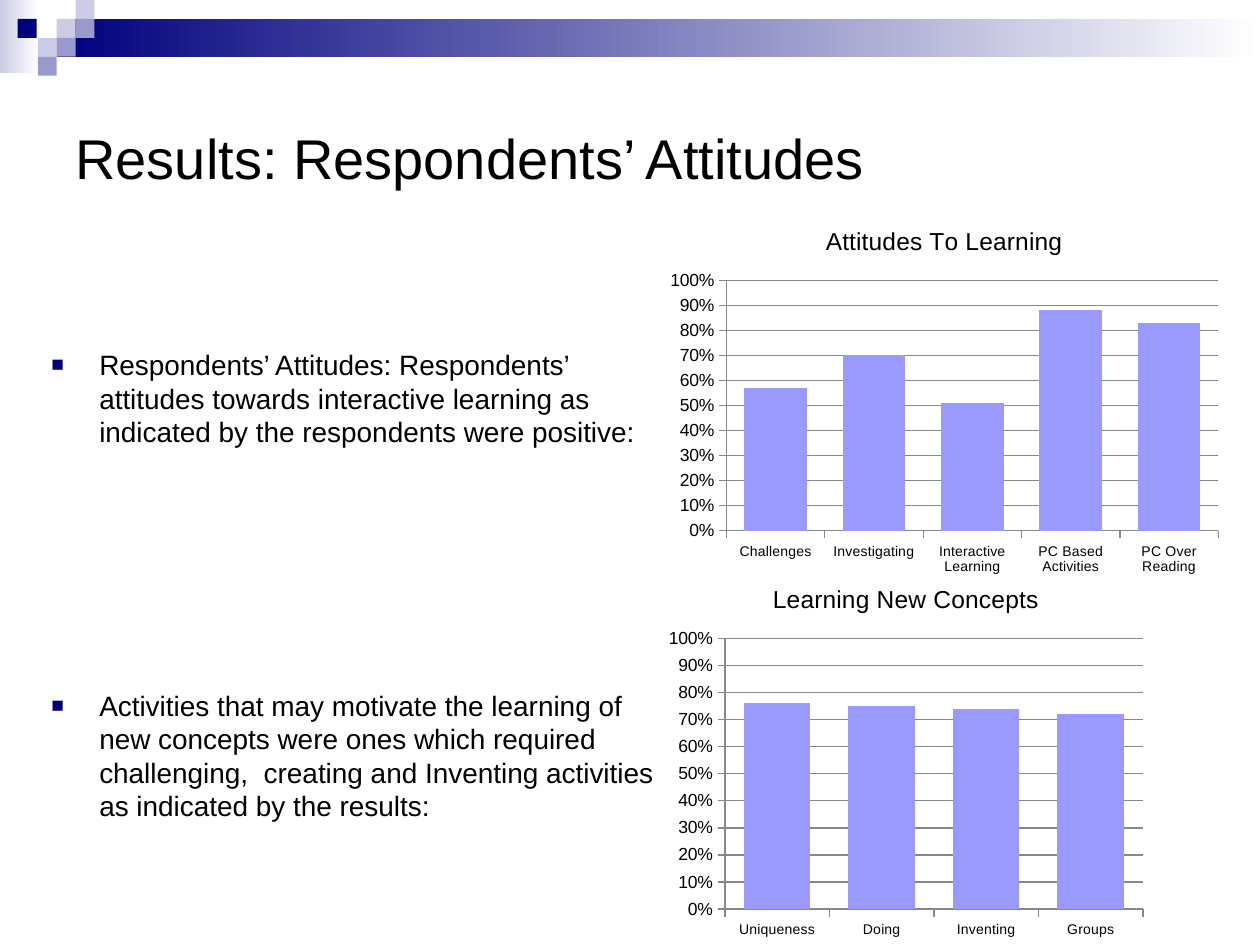
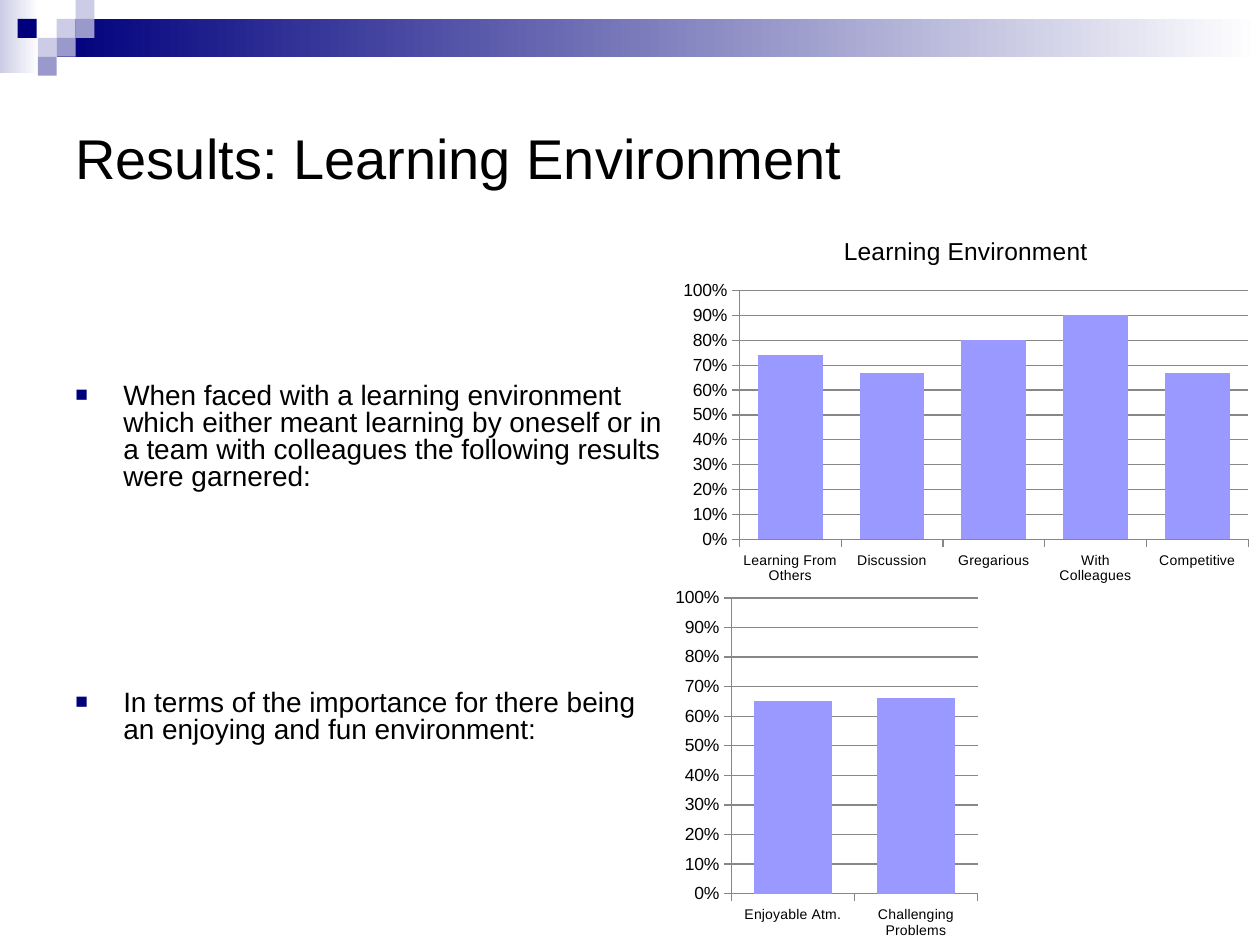
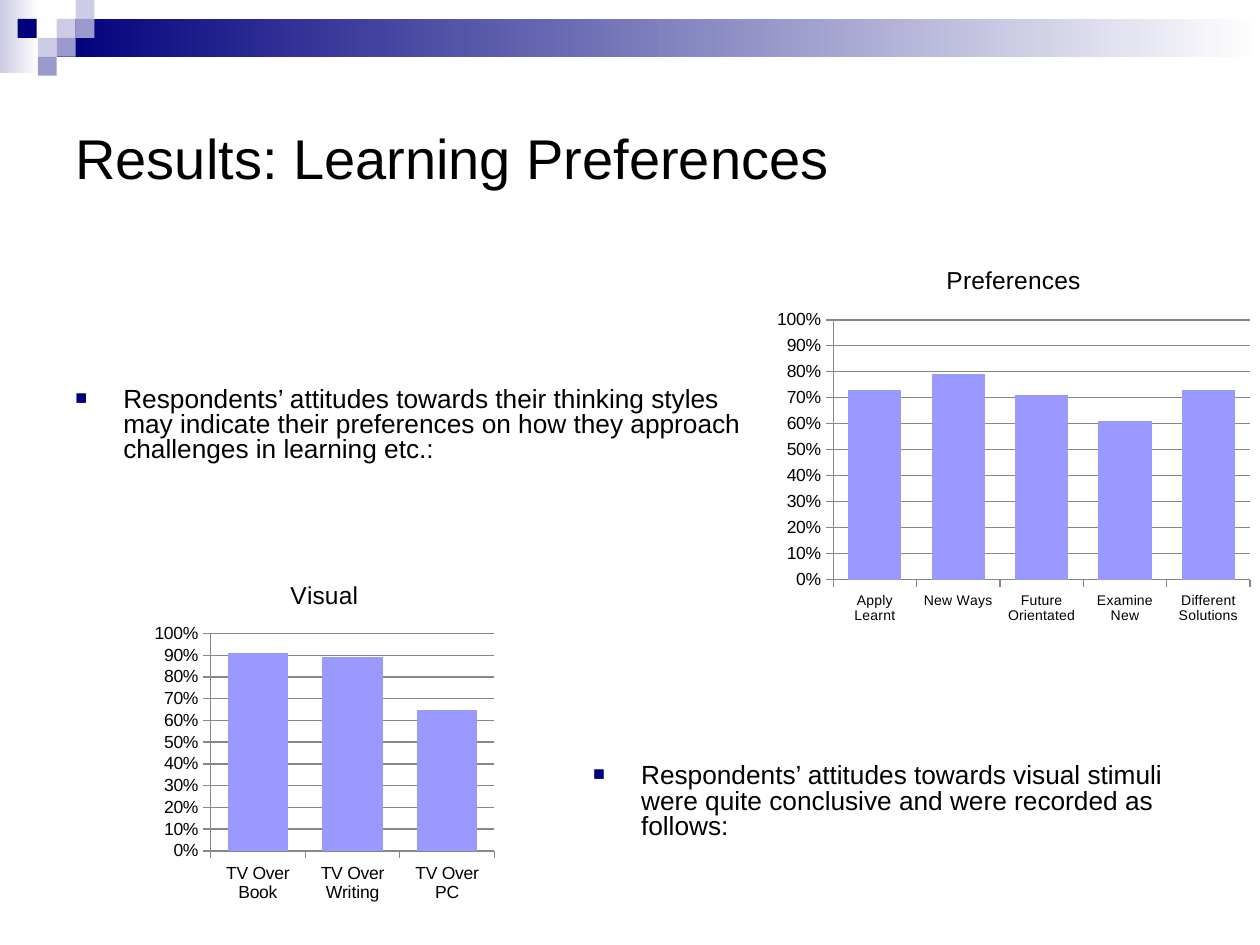
from pptx import Presentation
from pptx.chart.data import CategoryChartData
from pptx.dml.color import RGBColor
from pptx.enum.chart import XL_CHART_TYPE as ChartType, XL_TICK_MARK as TickMark
from pptx.enum.shapes import MSO_SHAPE as Preset
from pptx.enum.text import MSO_ANCHOR as Anchor
from pptx.oxml import parse_xml
from pptx.oxml.ns import nsdecls
from pptx.util import Inches, Pt

FONT = "Arial"
COLORS = {
    "text": "000000",
    "paper": "FFFFFF",
    "navy": "00007D",
    "pale": "CCCCE6",
    "mid": "9999CC",
    "column": "9999FF",
    "grid": "878787",
}
TILE = 0.15
# Left, top and colour of each header tile
HEADER_TILES = [
    (0.45, 0.15, "pale"), (0.6, 0, "pale"), (0.6, 0.15, "mid"),
    (0.3, 0.3, "pale"), (0.14, 0.15, "navy"), (0.45, 0.3, "mid"),
    (0.3, 0.45, "mid"),
]


def color(name):
    return RGBColor.from_string(COLORS[name])


def inches(box):
    return [Inches(length) for length in box]


def style_font(font, size):
    font.name = FONT
    font.size = Pt(size)
    font.bold = False
    font.color.rgb = color("text")


def add_block(slide, box, fill, fade_to=None):
    shape = slide.shapes.add_shape(Preset.RECTANGLE, *inches(box))
    shape.shadow.inherit = False
    shape.line.fill.background()
    if fade_to:
        shape.fill.gradient()
        shape.fill.gradient_angle = 0
        for stop, name in zip(shape.fill.gradient_stops, (fill, fade_to)):
            stop.color.rgb = color(name)
    else:
        shape.fill.solid()
        shape.fill.fore_color.rgb = color(fill)


def add_header(slide):
    add_block(slide, (0, 0, 0.31, 0.58), "pale", "paper")
    add_block(slide, (0.45, 0.15, 9.55, 0.3), "navy", "paper")
    for left, top, fill in HEADER_TILES:
        add_block(slide, (left, top, TILE, TILE), fill)


def add_text_frame(slide, box):
    frame = slide.shapes.add_textbox(*inches(box)).text_frame
    frame.word_wrap = True
    return frame


def add_title(slide, text):
    frame = add_text_frame(slide, (0.5, 0.5, 9, 1.5))
    frame.vertical_anchor = Anchor.MIDDLE
    run = frame.paragraphs[0].add_run()
    run.text = text
    style_font(run.font, 32)


def add_bullets(slide, box, texts, size=16, spacing=0.8, gap=0):
    """Square-bulleted paragraphs, with gap points between them."""
    frame = add_text_frame(slide, box)
    for index, text in enumerate(texts):
        paragraph = frame.add_paragraph() if index else frame.paragraphs[0]
        paragraph.line_spacing = spacing
        if index:
            paragraph.space_before = Pt(gap)
        properties = paragraph._p.get_or_add_pPr()
        properties.set("marL", str(Inches(0.38)))
        properties.set("indent", str(-Inches(0.38)))
        for bullet in (
            f'<a:buClr {nsdecls("a")}><a:srgbClr val="{COLORS["navy"]}"/></a:buClr>',
            f'<a:buSzPct {nsdecls("a")} val="75000"/>',
            f'<a:buFont {nsdecls("a")} typeface="{FONT}"/>',
            f'<a:buChar {nsdecls("a")} char="■"/>',
        ):
            properties.append(parse_xml(bullet))
        run = paragraph.add_run()
        run.text = text
        style_font(run.font, size)


def add_column_chart(slide, box, values, title=None, label_size=8, overlap=-27):
    """Percentage columns; values maps each category to its share."""
    data = CategoryChartData(number_format="0%")
    data.categories = values.keys()
    data.add_series(title or "Series 1", values.values())
    chart = slide.shapes.add_chart(
        ChartType.COLUMN_CLUSTERED, *inches(box), data).chart
    style_font(chart.font, 10)
    chart.has_legend = False
    chart.has_title = title is not None
    if title:
        run = chart.chart_title.text_frame.paragraphs[0].add_run()
        run.text = title
        style_font(run.font, 14)

    # Columns
    plot = chart.plots[0]
    plot.gap_width = 57
    plot.overlap = overlap
    plot.vary_by_categories = False
    column_fill = plot.series[0].format.fill
    column_fill.solid()
    column_fill.fore_color.rgb = color("column")

    # Axes
    value_axis = chart.value_axis
    value_axis.minimum_scale = 0
    value_axis.maximum_scale = 1
    value_axis.major_unit = 0.1
    value_axis.has_major_gridlines = True
    value_axis.tick_labels.number_format = "0%"
    value_axis.tick_labels.number_format_is_linked = False
    style_font(chart.category_axis.tick_labels.font, label_size)
    for axis in (value_axis, chart.category_axis):
        axis.major_tick_mark = TickMark.OUTSIDE
        axis.format.line.color.rgb = color("grid")
    value_axis.major_gridlines.format.line.color.rgb = color("grid")


def add_results_slide(presentation, title):
    slide = presentation.slides.add_slide(presentation.slide_layouts[6])
    add_header(slide)
    add_title(slide, title)
    return slide


def add_attitudes_slide(presentation):
    slide = add_results_slide(presentation, "Results: Respondents’ Attitudes")
    add_bullets(slide, (0.31, 2.71, 5.16, 3.95), [
        "Respondents’ Attitudes: Respondents’ attitudes towards interactive "
        "learning as indicated by the respondents were positive:",
        "Activities that may motivate the learning of new concepts were ones "
        "which required  challenging,  creating and Inventing activities as "
        "indicated by the results:",
    ], spacing=1, gap=137)
    add_column_chart(slide, (5.23, 1.64, 4.53, 2.98), {
        "Challenges": 0.57, "Investigating": 0.7, "Interactive Learning": 0.51,
        "PC Based Activities": 0.88, "PC Over Reading": 0.83,
    }, "Attitudes To Learning")
    add_column_chart(slide, (5.23, 4.48, 3.92, 3.02), {
        "Uniqueness": 0.76, "Doing": 0.75, "Inventing": 0.74, "Groups": 0.72,
    }, "Learning New Concepts")


def add_environment_slide(presentation):
    slide = add_results_slide(presentation, "Results: Learning Environment")
    add_bullets(slide, (0.5, 3, 4.89, 3.1), [
        "When faced with a learning environment which either meant learning by "
        "oneself or in a team with colleagues the following results were "
        "garnered:",
        "In terms of the importance for there being an enjoying and fun "
        "environment:",
    ], gap=114)
    add_column_chart(slide, (5.33, 1.72, 4.67, 2.97), {
        "Learning From Others": 0.74, "Discussion": 0.67, "Gregarious": 0.8,
        "With Colleagues": 0.9, "Competitive": 0.67,
    }, "Learning Environment")
    add_column_chart(slide, (5.31, 4.61, 2.5, 2.89), {
        "Enjoyable Atm.": 0.65, "Challenging Problems": 0.66,
    })


def add_preferences_slide(presentation):
    slide = add_results_slide(presentation, "Results: Learning Preferences")
    add_bullets(slide, (0.5, 3.03, 5.52, 0.88), [
        "Respondents’ attitudes towards their thinking styles may indicate "
        "their preferences on how they approach challenges in learning etc.:",
    ], size=15)
    add_column_chart(slide, (6.09, 1.95, 3.91, 3.06), {
        "Apply Learnt": 0.73, "New Ways": 0.79, "Future Orientated": 0.71,
        "Examine New": 0.61, "Different Solutions": 0.73,
    }, "Preferences", overlap=0)
    add_bullets(slide, (4.61, 6.02, 5.14, 0.86), [
        "Respondents’ attitudes towards visual stimuli were quite conclusive "
        "and were recorded as follows:",
    ], size=15)
    add_column_chart(slide, (1.17, 4.45, 2.81, 2.77), {
        "TV Over Book": 0.91, "TV Over Writing": 0.89, "TV Over PC": 0.65,
    }, "Visual", label_size=10)


def main():
    presentation = Presentation()
    presentation.slide_width = Inches(10)
    presentation.slide_height = Inches(7.5)
    add_attitudes_slide(presentation)
    add_environment_slide(presentation)
    add_preferences_slide(presentation)
    presentation.save("out.pptx")


if __name__ == "__main__":
    main()
